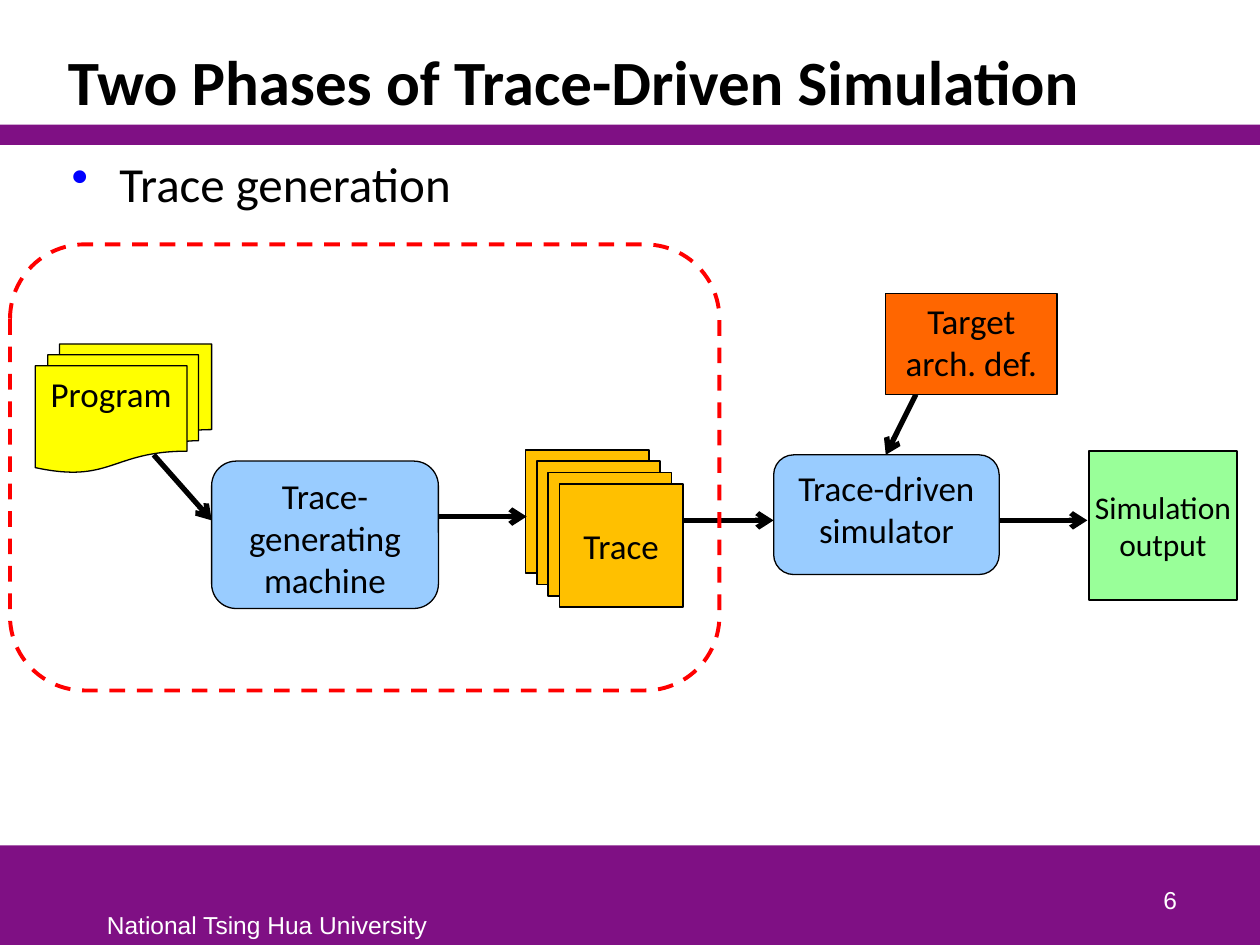
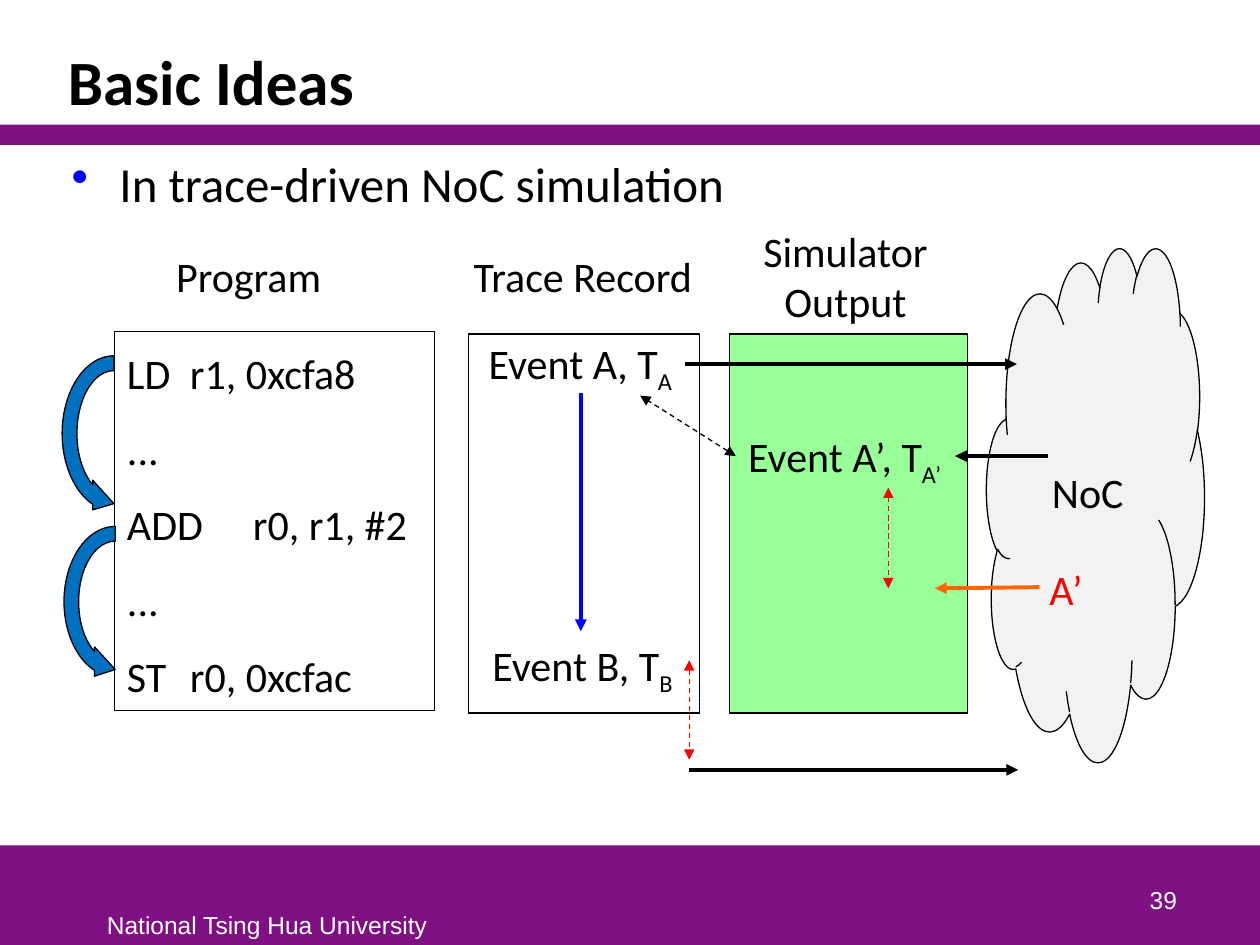
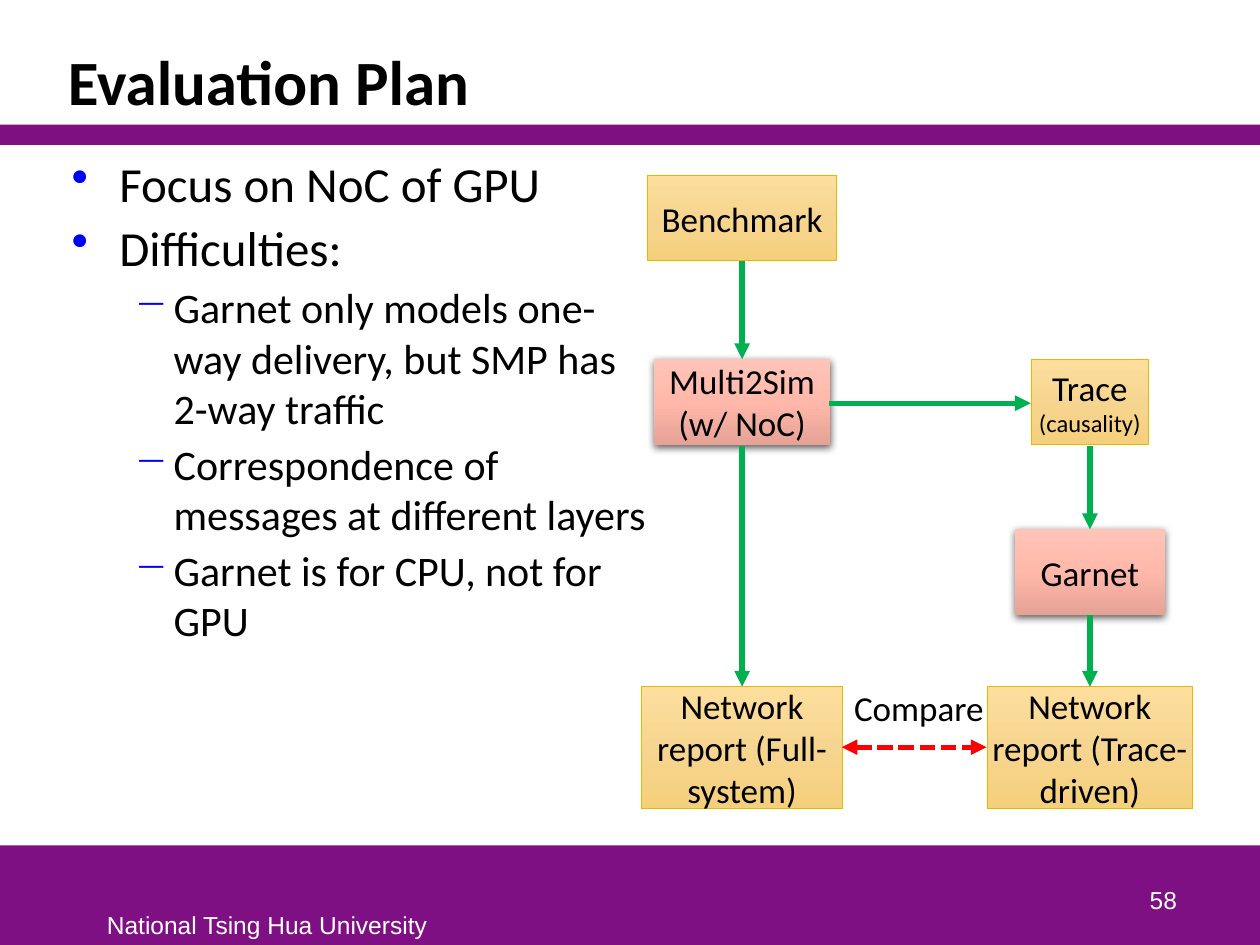
"""Builds three slides on trace-driven network simulation."""
import dataclasses

import lxml.etree
import pptx
import pptx.dml.color
import pptx.enum.dml
import pptx.enum.shapes
import pptx.enum.text
import pptx.oxml.ns
import pptx.shapes.autoshape
import pptx.slide
import pptx.text.text
import pptx.util

Inches = pptx.util.Inches
Pt = pptx.util.Pt
qn = pptx.oxml.ns.qn
Preset = pptx.enum.shapes.MSO_SHAPE
Align = pptx.enum.text.PP_ALIGN
Anchor = pptx.enum.text.MSO_ANCHOR
Dash = pptx.enum.dml.MSO_LINE

PURPLE, BLACK, WHITE = "7F1084", "000000", "FFFFFF"
RED, BLUE, ORANGE, GREEN = "FF0000", "0000FF", "FF6600", "00B050"
SKY, MINT, ARROW_BLUE = "99CCFF", "99FF99", "0070C0"
GOLD = ("FEDE9D", "F6D590", "F5D07C")
PINK = ("FFC4B8", "FFB8AA", "E5A295")


@dataclasses.dataclass(frozen=True)
class TextStyle:
    """Look of all the paragraphs in one text frame."""
    size: float = 20
    font: str = "Calibri"
    color: str = BLACK
    bold: bool = False
    align: Align = Align.CENTER
    anchor: Anchor = Anchor.MIDDLE
    wrap: bool = True
    inset: tuple[float, float] = (0.1, 0.05)
    line_spacing: float = 1.0


BOX = TextStyle()
TOP = TextStyle(anchor=Anchor.TOP)
UNWRAPPED = TextStyle(wrap=False)
TIGHT = TextStyle(inset=(0, 0))
LABEL = TextStyle(24, align=Align.LEFT, anchor=Anchor.TOP, wrap=False)
CENTERED_LABEL = dataclasses.replace(LABEL, align=Align.CENTER)
CODE = dataclasses.replace(LABEL, line_spacing=1.5)
TITLE = TextStyle(36, bold=True, align=Align.LEFT, anchor=Anchor.BOTTOM, line_spacing=0.85)
BODY = TextStyle(28, align=Align.LEFT, anchor=Anchor.TOP)
FOOTER = TextStyle(14, "Arial", WHITE, align=Align.LEFT, anchor=Anchor.TOP, wrap=False)
NUMBER = TextStyle(14, "Arial", WHITE, align=Align.RIGHT, anchor=Anchor.BOTTOM)


@dataclasses.dataclass(frozen=True)
class Box:
    """A preset shape; one fill colour is solid, several make a gradient."""
    left: float
    top: float
    width: float
    height: float
    fill: tuple[str, ...] = ()
    lines: tuple[str, ...] = ()
    style: TextStyle = BOX
    preset: Preset = Preset.RECTANGLE
    line: str = BLACK
    line_width: float = 0.75
    dash: Dash | None = None
    shadow: bool = False


@dataclasses.dataclass(frozen=True)
class Label:
    """A text box, with an optional subscript after its last line."""
    left: float
    top: float
    width: float
    height: float
    lines: tuple[str, ...]
    style: TextStyle = LABEL
    subscript: str = ""


@dataclasses.dataclass(frozen=True)
class Arrow:
    """A straight line with arrowheads."""
    start: tuple[float, float]
    end: tuple[float, float]
    color: str = BLACK
    width: float = 2.25
    head: str = ""
    tail: str = "triangle"
    dash: Dash | None = None


@dataclasses.dataclass(frozen=True)
class BulletLevel:
    """Indents and symbol of one bullet level."""
    symbol: str
    margin: float
    hanging: float
    size: float


LEVELS = (BulletLevel("•", 0.38, 0.38, 28), BulletLevel("−", 0.81, 0.31, 24))


def rgb(color: str) -> pptx.dml.color.RGBColor:
    """Turn a hex string into a colour."""
    return pptx.dml.color.RGBColor.from_string(color)


def add_child(parent: lxml.etree.ElementBase, tag: str, **attributes: str) -> lxml.etree.ElementBase:
    """Append a drawing element."""
    return lxml.etree.SubElement(parent, qn(tag), attributes)


def write(frame: pptx.text.text.TextFrame, lines: tuple[str, ...], style: TextStyle) -> None:
    """Fill a text frame with one paragraph per line."""
    frame.word_wrap = style.wrap
    frame.vertical_anchor = style.anchor
    frame.margin_left = frame.margin_right = Inches(style.inset[0])
    frame.margin_top = frame.margin_bottom = Inches(style.inset[1])
    for index, line in enumerate(lines):
        paragraph = frame.add_paragraph() if index else frame.paragraphs[0]
        paragraph.add_run().text = line
        paragraph.alignment = style.align
        if style.line_spacing != 1:
            paragraph.line_spacing = style.line_spacing
        font = paragraph.font
        font.name, font.size, font.bold = style.font, Pt(style.size), style.bold
        font.color.rgb = rgb(style.color)


def paint(shape: pptx.shapes.autoshape.Shape, colors: tuple[str, ...]) -> None:
    """Give a shape no fill, a solid fill or a downward gradient."""
    if not colors:
        shape.fill.background()
    elif len(colors) == 1:
        shape.fill.solid()
        shape.fill.fore_color.rgb = rgb(colors[0])
    else:
        shape.fill.gradient()
        shape.fill.gradient_angle = 270
        stops = shape._element.spPr.find(qn("a:gradFill")).find(qn("a:gsLst"))
        stops.clear()
        for index, color in enumerate(colors):
            stop = add_child(stops, "a:gs", pos=str(100000 * index // (len(colors) - 1)))
            add_child(stop, "a:srgbClr", val=color)


def add_box(slide: pptx.slide.Slide, box: Box) -> pptx.shapes.autoshape.Shape:
    """Draw a box with its text."""
    place = map(Inches, (box.left, box.top, box.width, box.height))
    shape = slide.shapes.add_shape(box.preset, *place)
    shape.shadow.inherit = False
    paint(shape, box.fill)
    if box.line:
        shape.line.color.rgb = rgb(box.line)
        shape.line.width = Pt(box.line_width)
        if box.dash:
            shape.line.dash_style = box.dash
    else:
        shape.line.fill.background()
    if box.shadow:
        effects = shape._element.spPr.find(qn("a:effectLst"))
        shadow = add_child(effects, "a:outerShdw", blurRad=str(Pt(4.5)), dist=str(Pt(1.5)),
                           dir="5400000", rotWithShape="0")
        add_child(add_child(shadow, "a:srgbClr", val=BLACK), "a:alpha", val="63000")
    write(shape.text_frame, box.lines, box.style)
    return shape


def add_label(slide: pptx.slide.Slide, label: Label) -> None:
    """Draw a text box."""
    place = map(Inches, (label.left, label.top, label.width, label.height))
    frame = slide.shapes.add_textbox(*place).text_frame
    write(frame, label.lines, label.style)
    if not label.style.wrap:
        frame.auto_size = pptx.enum.text.MSO_AUTO_SIZE.SHAPE_TO_FIT_TEXT
    if label.subscript:
        run = frame.paragraphs[-1].add_run()
        run.text = label.subscript
        run._r.get_or_add_rPr().set("baseline", "-25000")


def add_arrow(slide: pptx.slide.Slide, arrow: Arrow) -> None:
    """Draw an arrow."""
    ends = map(Inches, (*arrow.start, *arrow.end))
    connector = slide.shapes.add_connector(pptx.enum.shapes.MSO_CONNECTOR.STRAIGHT, *ends)
    connector.line.color.rgb = rgb(arrow.color)
    connector.line.width = Pt(arrow.width)
    if arrow.dash:
        connector.line.dash_style = arrow.dash
    properties = connector._element.spPr
    outline = properties.find(qn("a:ln"))
    for tag, kind in (("a:headEnd", arrow.head), ("a:tailEnd", arrow.tail)):
        if kind:
            add_child(outline, tag, type=kind)
    add_child(properties, "a:effectLst")


def add_bullets(slide: pptx.slide.Slide, width: float, items: tuple[tuple[int, str], ...]) -> None:
    """Draw the body list from pairs of level and text."""
    place = map(Inches, (0.47, 1.17, width, 5.49))
    frame = slide.shapes.add_textbox(*place).text_frame
    for index, (depth, text) in enumerate(items):
        level = LEVELS[depth]
        paragraph = frame.add_paragraph() if index else frame.paragraphs[0]
        properties = paragraph._p.get_or_add_pPr()
        properties.set("marL", str(Inches(level.margin)))
        properties.set("indent", str(-Inches(level.hanging)))
        add_child(add_child(properties, "a:buClr"), "a:srgbClr", val=BLUE)
        add_child(properties, "a:buChar", char=level.symbol)
        if index:
            paragraph.space_before = Pt(3)
        paragraph.add_run().text = text
        paragraph.font.name, paragraph.font.size = BODY.font, Pt(level.size)
        paragraph.font.color.rgb = rgb(BODY.color)
    frame.word_wrap = BODY.wrap
    frame.vertical_anchor = BODY.anchor


def add_slide(presentation: pptx.presentation.Presentation, title: str, number: int) -> pptx.slide.Slide:
    """Start a slide with bands, title, footer and number."""
    slide = presentation.slides.add_slide(presentation.slide_layouts[6])
    for top, height in ((6.71, 0.79), (0.99, 0.16)):
        add_box(slide, Box(0, top, 10, height, (PURPLE,), line=""))
    add_label(slide, Label(0.75, 7.17, 2.76, 0.33, ("National Tsing Hua University",), FOOTER))
    add_label(slide, Label(0.44, 0.25, 8.97, 0.74, (title,), TITLE))
    add_label(slide, Label(7.36, 6.81, 2.08, 0.5, (str(number),), NUMBER))
    return slide


def build_phases(presentation: pptx.presentation.Presentation) -> None:
    """Build the flow from program to simulation output."""
    slide = add_slide(presentation, "Two Phases of Trace-Driven Simulation", 6)
    add_bullets(slide, 8.94, ((0, "Trace generation"),))
    sheets, step = 4, 0.09
    for index in range(sheets):
        lines = ("Trace",) if index == sheets - 1 else ()
        add_box(slide, Box(4.17 + step * index, 3.57 + step * index, 0.98, 0.98, ("FFC000",),
                           lines, UNWRAPPED, line_width=1))
    for start, end in (
        ((3.47, 4.1), (4.18, 4.1)),
        ((5.43, 4.13), (6.14, 4.13)),
        ((7.27, 3.13), (7.03, 3.61)),
        ((7.92, 4.13), (8.63, 4.13)),
        ((1.22, 3.61), (1.68, 4.13)),
    ):
        add_arrow(slide, Arrow(start, end, width=3, tail="arrow"))
    machine = Preset.FLOWCHART_ALTERNATE_PROCESS
    for box in (
        Box(8.64, 3.58, 1.18, 1.18, (MINT,), ("Simulation", "output"),
            dataclasses.replace(UNWRAPPED, size=18), line_width=1),
        Box(0.08, 1.94, 5.63, 3.54, preset=Preset.ROUNDED_RECTANGLE, line=RED,
            line_width=2.25, dash=Dash.DASH),
        Box(0.28, 2.73, 1.4, 1.02, ("FFFF00",), ("Program",), TOP, Preset.FLOWCHART_MULTIDOCUMENT),
        Box(7.03, 2.33, 1.36, 0.8, (ORANGE,), ("Target", "arch. def."), TOP, Preset.FLOWCHART_PROCESS),
        Box(1.68, 3.66, 1.8, 1.17, (SKY,), ("Trace-generating machine",), TOP, machine),
        Box(6.14, 3.61, 1.79, 0.95, (SKY,), ("Trace-driven simulator",), TOP, machine),
    ):
        add_box(slide, box)


def build_ideas(presentation: pptx.presentation.Presentation) -> None:
    """Build the program, trace, output and network columns."""
    slide = add_slide(presentation, "Basic Ideas", 39)
    add_bullets(slide, 8.94, ((0, "In trace-driven NoC simulation"),))
    for box in (
        Box(5.79, 2.65, 1.89, 3.01, (MINT,)),
        Box(0.91, 2.63, 2.54, 3.01),
        Box(3.72, 2.65, 1.83, 3.01),
        Box(7.83, 1.96, 1.73, 4.08, ("F2F2F2",), ("NoC",), TextStyle(24), Preset.CLOUD),
    ):
        add_box(slide, box)
    for left, top, width, height in ((0.23, 2.97, 1.35, 0.94), (0.26, 4.31, 1.31, 0.93)):
        dependency = add_box(slide, Box(left, top, width, height, (ARROW_BLUE,),
                                        preset=Preset.CIRCULAR_ARROW))
        dependency.rotation = 270
        dependency._element.spPr.find(qn("a:xfrm")).set("flipH", "1")
    program = ("LD\tr1, 0xcfa8", "...", "ADD\tr0, r1, #2", "...", "ST\tr0, 0xcfac")
    for label in (
        Label(0.91, 2.51, 2.54, 3.13, program, dataclasses.replace(CODE, wrap=True)),
        Label(1.3, 1.94, 1.36, 0.5, ("Program",)),
        Label(3.66, 1.94, 1.95, 0.5, ("Trace Record",)),
        Label(5.95, 1.74, 1.52, 0.91, ("Simulator", "Output"), CENTERED_LABEL),
        Label(5.84, 3.37, 1.73, 0.5, ("Event A’, T",), subscript="A’"),
        Label(3.78, 2.63, 1.66, 0.5, ("Event A, T",), subscript="A"),
        Label(3.81, 5.03, 1.66, 0.5, ("Event B, T",), subscript="B"),
        Label(8.23, 4.42, 0.47, 0.5, ("A’",), dataclasses.replace(LABEL, color=RED)),
    ):
        add_label(slide, label)
    for arrow in (
        Arrow((5.44, 2.89), (8.07, 2.89)),
        Arrow((5.47, 6.11), (8.08, 6.11)),
        Arrow((8.32, 3.62), (7.58, 3.62)),
        Arrow((4.61, 3.12), (4.61, 5.01), BLUE),
        Arrow((8.25, 4.66), (7.42, 4.67), ORANGE),
    ):
        add_arrow(slide, arrow)
    for start, end, color in (
        ((5.84, 3.62), (5.08, 3.14), BLACK),
        ((7.05, 3.87), (7.05, 4.67), RED),
        ((5.47, 5.24), (5.47, 6.03), RED),
    ):
        add_arrow(slide, Arrow(start, end, color, 0.75, "triangle", dash=Dash.DASH))


def build_plan(presentation: pptx.presentation.Presentation) -> None:
    """Build the evaluation flow beside its difficulties."""
    slide = add_slide(presentation, "Evaluation Plan", 58)
    add_bullets(slide, 4.83, (
        (0, "Focus on NoC of GPU"),
        (0, "Difficulties:"),
        (1, "Garnet only models one-way delivery, but SMP has 2-way traffic"),
        (1, "Correspondence of messages at different layers"),
        (1, "Garnet is for CPU, not for GPU"),
    ))
    full_system, trace_driven = 5.89, 8.65
    data = {"fill": GOLD, "line": "E7B900", "line_width": 0.5}
    simulator = {"fill": PINK, "line": "", "shadow": True}
    for center, top, width, height, lines, style, look in (
        (full_system, 1.39, 1.5, 0.68, ("Benchmark",), BOX, data),
        (full_system, 2.85, 1.4, 0.68, ("Multi2Sim", "(w/ NoC)"), BOX, simulator),
        (full_system, 5.45, 1.6, 0.97, ("Network report (Full-system)",), BOX, data),
        (trace_driven, 4.2, 1.19, 0.68, ("Garnet",), BOX, simulator),
        (trace_driven, 5.45, 1.63, 0.97, ("Network report (Trace-driven)",), TIGHT, data),
        (trace_driven, 2.85, 0.93, 0.68, ("Trace", "(causality)"), TIGHT, data),
    ):
        shape = add_box(slide, Box(center - width / 2, top, width, height, lines=lines, style=style, **look))
    shape.text_frame.paragraphs[-1].font.size = Pt(14)
    for start, end in (
        ((full_system, 2.07), (full_system, 2.85)),
        ((full_system, 3.54), (full_system, 5.45)),
        ((6.58, 3.2), (8.18, 3.2)),
        ((trace_driven, 3.54), (trace_driven, 4.2)),
        ((trace_driven, 4.88), (trace_driven, 5.45)),
    ):
        add_arrow(slide, Arrow(start, end, GREEN, 3))
    add_arrow(slide, Arrow((6.68, 5.93), (7.83, 5.93), RED, 3, "triangle", dash=Dash.SQUARE_DOT))
    add_label(slide, Label(6.68, 5.4, 1.24, 0.44, ("Compare",), dataclasses.replace(LABEL, size=20)))


def main() -> None:
    """Build and save the presentation."""
    presentation = pptx.Presentation()
    presentation.slide_width, presentation.slide_height = Inches(10), Inches(7.5)
    build_phases(presentation)
    build_ideas(presentation)
    build_plan(presentation)
    presentation.save("out.pptx")


if __name__ == "__main__":
    main()
